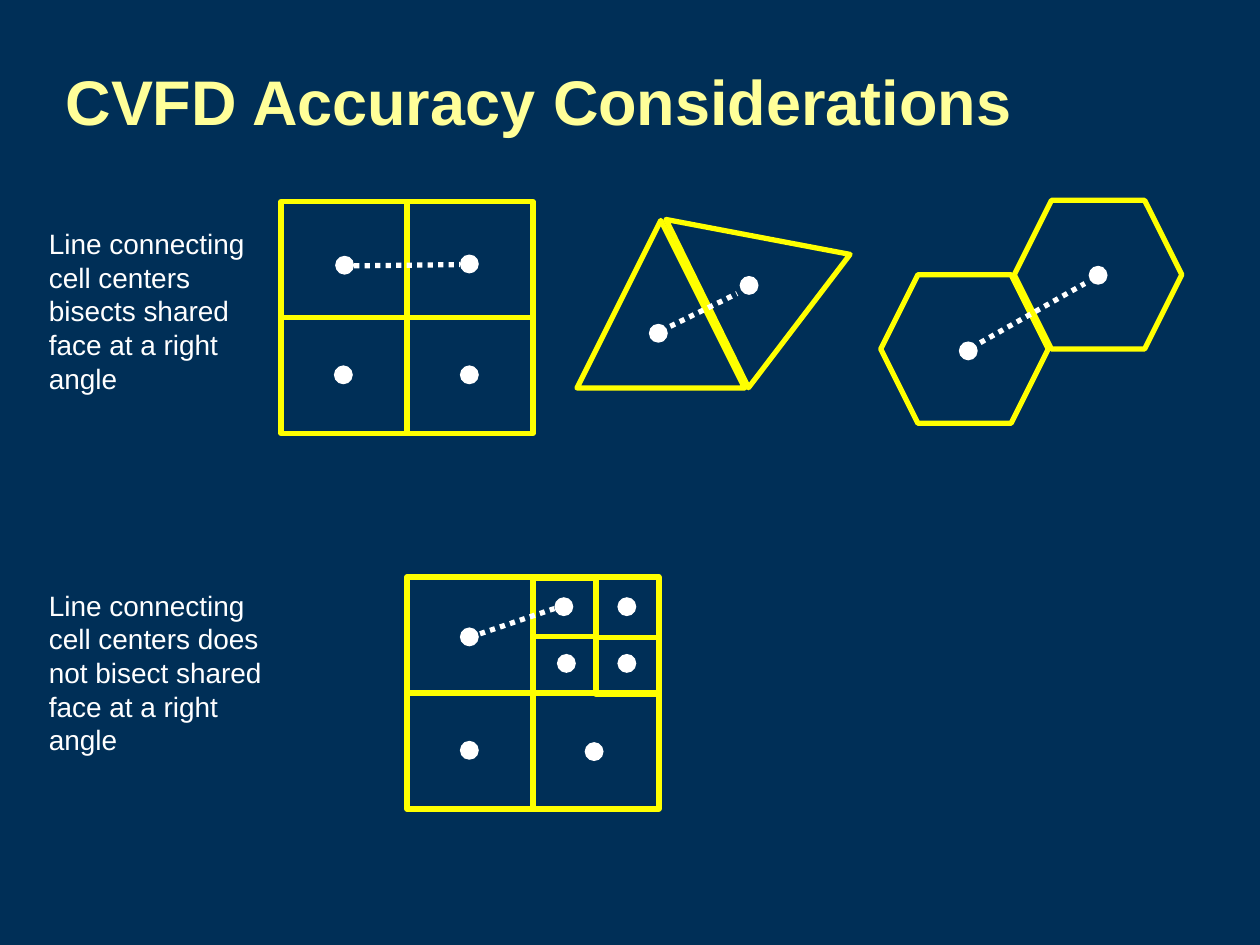
from typing import NamedTuple

from lxml.etree import SubElement
from pptx import Presentation
from pptx.dml.color import RGBColor
from pptx.enum.dml import MSO_LINE
from pptx.enum.shapes import MSO_CONNECTOR, MSO_SHAPE as Preset
from pptx.enum.text import MSO_ANCHOR, PP_ALIGN
from pptx.oxml.ns import qn
from pptx.util import Inches, Pt

COLORS = {"background": "002F57", "title": "FFFF99", "cell": "FFFF00", "mark": "FFFFFF"}
FONT = "Arial"
CELL_WIDTH, CELL_HEIGHT = 1, 0.92
DOT_SIZE = 0.15
LINE_WIDTH = 3


class Cell(NamedTuple):
    preset: Preset
    left: float
    top: float
    width: float
    height: float
    rotation: float = 0


class Link(NamedTuple):
    start: tuple[float, float]
    end: tuple[float, float]


class Caption(NamedTuple):
    top: float
    text: str


def grid(left: float, top: float) -> list[Cell]:
    return [
        Cell(Preset.RECTANGLE, left + column * CELL_WIDTH, top + row * CELL_HEIGHT,
             CELL_WIDTH, CELL_HEIGHT)
        for row in range(2) for column in range(2)
    ]


CELLS = [
    *grid(2.23, 1.6),
    Cell(Preset.ISOSCELES_TRIANGLE, 4.58, 1.75, 1.33, 1.33),
    Cell(Preset.ISOSCELES_TRIANGLE, 5.15, 1.48, 1.33, 1.33, 307.3),
    *grid(3.23, 4.58),
    Cell(Preset.RECTANGLE, 4.23, 4.59, 0.5, 0.46),
    Cell(Preset.RECTANGLE, 4.73, 5.06, 0.5, 0.45),
    Cell(Preset.HEXAGON, 6.99, 2.18, 1.33, 1.18),
    Cell(Preset.HEXAGON, 8.05, 1.59, 1.33, 1.18),
]
CAPTIONS = [
    Caption(1.75, "Line connecting cell centers bisects shared face at a right angle"),
    Caption(4.62, "Line connecting cell centers does not bisect shared face at a right angle"),
]
DOTS = [
    (2.66, 2.03), (3.65, 2.02), (2.65, 2.9), (3.65, 2.9),
    (5.15, 2.57), (5.87, 2.19),
    (3.65, 4.98), (4.4, 4.74), (4.42, 5.19), (4.9, 4.74), (4.9, 5.19),
    (3.65, 5.88), (4.64, 5.89),
    (7.61, 2.71), (8.64, 2.11),
]
LINKS = [
    Link((2.81, 2.11), (3.65, 2.1)),
    Link((5.32, 2.59), (5.85, 2.33)),
    Link((7.78, 2.72), (8.61, 2.25)),
    Link((3.81, 5.03), (4.4, 4.83)),
]


def color(name: str) -> RGBColor:
    return RGBColor.from_string(COLORS[name])


def write(frame, text: str, size: float, color_name: str, bold: bool = False) -> None:
    frame.word_wrap = True
    para = frame.paragraphs[0]
    para.alignment = PP_ALIGN.LEFT
    span = para.add_run()
    span.text = text
    span.font.name = FONT
    span.font.size = Pt(size)
    span.font.bold = bold
    span.font.color.rgb = color(color_name)


def add_title(page, text: str) -> None:
    title = page.shapes.title
    title.left, title.top = Inches(0.42), Inches(0.17)
    title.width, title.height = Inches(9.08), Inches(1.25)
    title.text_frame.vertical_anchor = MSO_ANCHOR.MIDDLE
    write(title.text_frame, text, 36, "title", bold=True)


def add_cell(page, cell: Cell) -> None:
    shape = page.shapes.add_shape(
        cell.preset, Inches(cell.left), Inches(cell.top),
        Inches(cell.width), Inches(cell.height))
    shape.rotation = cell.rotation
    shape.shadow.inherit = False
    shape.fill.background()
    shape.line.color.rgb = color("cell")
    shape.line.width = Pt(LINE_WIDTH)


def add_caption(page, caption: Caption) -> None:
    box = page.shapes.add_textbox(
        Inches(0.29), Inches(caption.top), Inches(2.04), Inches(1.45))
    write(box.text_frame, caption.text, 16, "mark")


def add_dot(page, left: float, top: float) -> None:
    dot = page.shapes.add_shape(
        Preset.OVAL, Inches(left), Inches(top), Inches(DOT_SIZE), Inches(DOT_SIZE))
    dot.shadow.inherit = False
    dot.fill.solid()
    dot.fill.fore_color.rgb = color("mark")
    dot.line.fill.background()


def add_link(page, link: Link) -> None:
    connector = page.shapes.add_connector(
        MSO_CONNECTOR.STRAIGHT, *map(Inches, link.start + link.end))
    connector.line.color.rgb = color("mark")
    connector.line.width = Pt(LINE_WIDTH)
    connector.line.dash_style = MSO_LINE.ROUND_DOT
    SubElement(connector._element.spPr, qn("a:effectLst"))


def main() -> None:
    deck = Presentation()
    deck.slide_width, deck.slide_height = Inches(10), Inches(7.5)
    page = deck.slides.add_slide(deck.slide_layouts[5])
    page.background.fill.solid()
    page.background.fill.fore_color.rgb = color("background")
    add_title(page, "CVFD Accuracy Considerations")
    for cell in CELLS:
        add_cell(page, cell)
    for caption in CAPTIONS:
        add_caption(page, caption)
    for left, top in DOTS:
        add_dot(page, left, top)
    for link in LINKS:
        add_link(page, link)
    deck.save("out.pptx")


if __name__ == "__main__":
    main()
